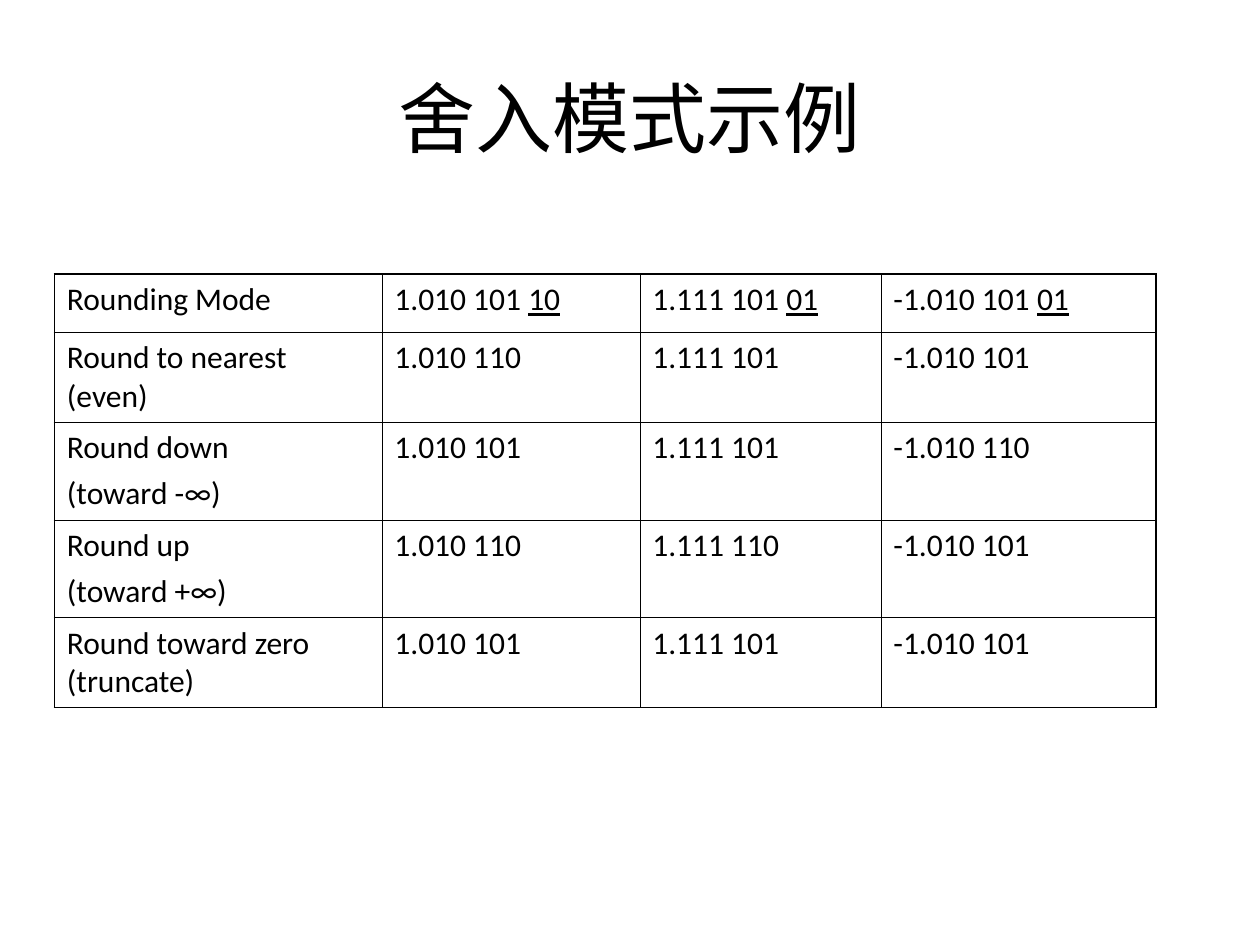
from typing import NamedTuple

from lxml.etree import SubElement
from pptx import Presentation
from pptx.dml.color import RGBColor
from pptx.enum.text import MSO_ANCHOR, PP_ALIGN
from pptx.oxml.ns import qn
from pptx.util import Cm, Pt

BLACK = RGBColor(0x00, 0x00, 0x00)
WHITE = RGBColor(0xFF, 0xFF, 0xFF)
FONT = "Calibri"
THIN, THICK = Pt(0.45), Pt(1.08)
COLUMN_WIDTHS = [Cm(6.6), Cm(5.2), Cm(4.86), Cm(5.55)]
ROW_HEIGHTS = [Cm(1.17), Cm(1.81), Cm(1.96), Cm(1.96), Cm(1.81)]


class Span(NamedTuple):
    text: str
    underline: bool = False


class Mode(NamedTuple):
    """A rounding mode, one name line per paragraph, and its results."""
    name: list[str]
    results: list[str]


OPERANDS = [("1.010 101 ", "10"), ("1.111 101 ", "01"), ("-1.010 101 ", "01")]
MODES = [
    Mode(["Round to nearest (even)"], ["1.010 110", "1.111 101", "-1.010 101"]),
    Mode(["Round down", "(toward -∞)"], ["1.010 101", "1.111 101", "-1.010 110"]),
    Mode(["Round up", "(toward +∞)"], ["1.010 110", "1.111 110", "-1.010 101"]),
    Mode(["Round toward zero (truncate)"], ["1.010 101", "1.111 101", "-1.010 101"]),
]


def add_span(para, span: Span, size: Pt) -> None:
    run = para.add_run()
    run.text = span.text
    run.font.name = FONT
    run.font.size = size
    run.font.color.rgb = BLACK
    if span.underline:
        run.font.underline = True


def fill_cell(cell, paragraphs: list[list[Span]]) -> None:
    cell.margin_left = cell.margin_right = Cm(0.25)
    cell.margin_top = cell.margin_bottom = Cm(0.13)
    cell.vertical_anchor = MSO_ANCHOR.TOP
    frame = cell.text_frame
    for index, spans in enumerate(paragraphs):
        para = frame.add_paragraph() if index else frame.paragraphs[0]
        para.space_before = Pt(4.5 if index else 0)
        for span in spans:
            add_span(para, span, Pt(18))


def set_borders(cell, widths: dict[str, Pt]) -> None:
    """Draw the sides in the order given, then the fill that must follow them."""
    properties = cell._tc.get_or_add_tcPr()
    for side, width in widths.items():
        line = SubElement(properties, qn(f"a:ln{side}"), w=str(int(width)))
        color = SubElement(SubElement(line, qn("a:solidFill")), qn("a:srgbClr"))
        color.set("val", str(BLACK))
    cell.fill.background()


def add_title(page, text: str) -> None:
    title = page.shapes.title
    title.left, title.top = Cm(1.27), Cm(0.76)
    title.width, title.height = Cm(22.86), Cm(3.18)
    title.text_frame.vertical_anchor = MSO_ANCHOR.MIDDLE
    para = title.text_frame.paragraphs[0]
    para.alignment = PP_ALIGN.CENTER
    add_span(para, Span(text), Pt(44))


def add_rounding_table(page) -> None:
    header = [[[Span("Rounding Mode")]]]
    header += [[[Span(kept), Span(extra, True)]] for kept, extra in OPERANDS]
    rows = [header]
    for mode in MODES:
        name = [[Span(line)] for line in mode.name]
        rows.append([name] + [[[Span(result)]] for result in mode.results])

    table = page.shapes.add_table(
        len(rows), len(COLUMN_WIDTHS), Cm(1.1), Cm(5.53),
        sum(COLUMN_WIDTHS), sum(ROW_HEIGHTS)).table
    table.first_row = table.horz_banding = False
    for column, width in zip(table.columns, COLUMN_WIDTHS):
        column.width = width
    for row, height in zip(table.rows, ROW_HEIGHTS):
        row.height = height

    last_row, last_column = len(rows) - 1, len(COLUMN_WIDTHS) - 1
    for i, row in enumerate(rows):
        for j, paragraphs in enumerate(row):
            cell = table.cell(i, j)
            fill_cell(cell, paragraphs)
            set_borders(cell, {
                "L": THICK if j == 0 else THIN,
                "R": THICK if j == last_column else THIN,
                "T": THICK if i == 0 else THIN,
                "B": THICK if i == last_row else THIN,
            })


def main() -> None:
    deck = Presentation()
    deck.slide_width, deck.slide_height = Cm(25.4), Cm(19.05)
    page = deck.slides.add_slide(deck.slide_layouts.get_by_name("Title Only"))
    page.background.fill.solid()
    page.background.fill.fore_color.rgb = WHITE
    add_title(page, "舍入模式示例")
    add_rounding_table(page)
    deck.save("out.pptx")


if __name__ == "__main__":
    main()
